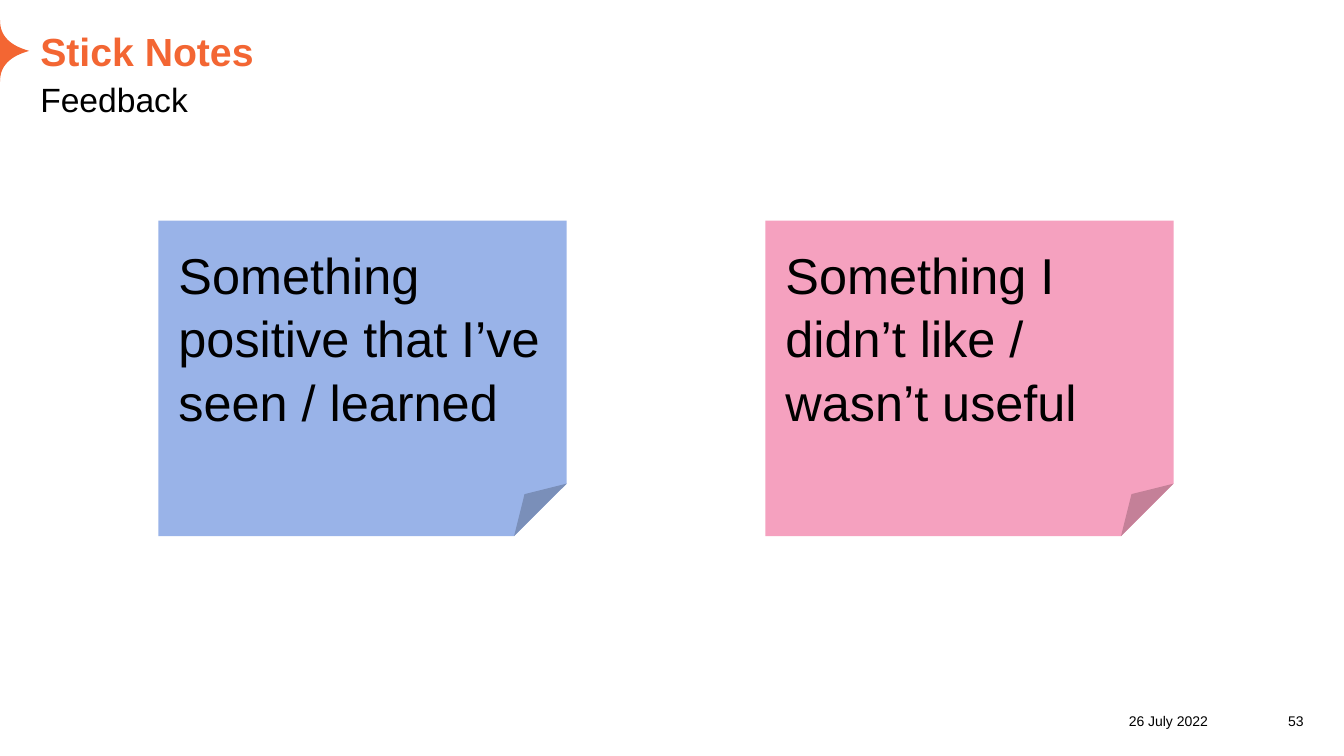
from dataclasses import dataclass

from pptx import Presentation
from pptx.dml.color import RGBColor
from pptx.enum.shapes import MSO_SHAPE
from pptx.enum.text import MSO_ANCHOR, MSO_AUTO_SIZE, PP_ALIGN
from pptx.util import Pt

# Content
HEADING = "Stick Notes"
SUBHEADING = "Feedback"
NOTES = [
    ("Something positive that I’ve seen / learned", "99B3E8"),
    ("Something I didn’t like / wasn’t useful", "F5A1BF"),
]
# text, left, width
FOOTER = [("26 July 2022", 894, 304), ("53", 1234, 59)]


@dataclass(frozen=True)
class Theme:
    font: str = "Arial"
    accent: str = "F36633"
    ink: str = "000000"
    heading: int = 28
    subheading: int = 24
    note: int = 36
    footer: int = 10


THEME = Theme()

# Layout in px, 100 to the inch
PX = 9144
SLIDE_W, SLIDE_H = 1333, 750
MARGIN, CONTENT_W = 40, 1253
NOTE_LEFT, NOTE_TOP, NOTE_W, NOTE_H, NOTE_PITCH = 157, 219, 405, 313, 602
NOTE_INSET = 20
STAR_TOP, STAR_MIDDLE, STAR_TIP = 20, 50.5, 29
CURVE_STEPS = 16


def box(*lengths):
    return [round(length * PX) for length in lengths]


def place(shape, bounds):
    shape.left, shape.top, shape.width, shape.height = box(*bounds)


def write(shape, text, size, color=THEME.ink, bold=False, inset=0,
          anchor=MSO_ANCHOR.TOP, paragraph_format=None):
    frame = shape.text_frame
    margins = {f"margin_{side}": inset * PX for side in ("left", "top", "right", "bottom")}
    frame_format = {"word_wrap": True, "auto_size": MSO_AUTO_SIZE.NONE,
                    "vertical_anchor": anchor, **margins}
    for name, value in frame_format.items():
        setattr(frame, name, value)
    paragraph = frame.paragraphs[0]
    paragraph.text = text
    for name, value in {"alignment": PP_ALIGN.LEFT, **(paragraph_format or {})}.items():
        setattr(paragraph, name, value)
    font = paragraph.runs[0].font
    for name, value in {"name": THEME.font, "size": Pt(size), "bold": bold}.items():
        setattr(font, name, value)
    font.color.rgb = RGBColor.from_string(color)


def paint(shape, color):
    shape.shadow.inherit = False
    shape.fill.solid()
    shape.fill.fore_color.rgb = RGBColor.from_string(color)
    shape.line.fill.background()


def half_star_points():
    """Sample the curve from the top to the tip, then mirror it downwards."""
    reach = STAR_MIDDLE - STAR_TOP
    upper = []
    for step in range(CURVE_STEPS + 1):
        t = step / CURVE_STEPS
        s = 1 - t
        x = (3 * s * t * t * 0.35 + t ** 3) * STAR_TIP
        y = STAR_TOP + (3 * s * s * t * 0.52 + 3 * s * t * t * 0.83 + t ** 3) * reach
        upper.append((x, y))
    return upper + [(x, 2 * STAR_MIDDLE - y) for x, y in reversed(upper[:-1])]


def add_half_star(slide):
    start, *outline = half_star_points()
    builder = slide.shapes.build_freeform(*box(*start))
    builder.add_line_segments([box(*point) for point in outline], close=True)
    paint(builder.convert_to_shape(), THEME.accent)


def main():
    deck = Presentation()
    deck.slide_width, deck.slide_height = box(SLIDE_W, SLIDE_H)
    slide = deck.slides.add_slide(deck.slide_layouts[5])
    add_half_star(slide)

    # Heading and subheading
    heading = slide.shapes.title
    place(heading, (MARGIN, 27, CONTENT_W, 47))
    write(heading, HEADING, THEME.heading, THEME.accent, bold=True, anchor=MSO_ANCHOR.BOTTOM)
    subheading = slide.shapes.add_textbox(*box(MARGIN, 76, CONTENT_W, 39))
    write(subheading, SUBHEADING, THEME.subheading, paragraph_format={"line_spacing": 1.05})

    # Sticky notes
    for index, (message, color) in enumerate(NOTES):
        left = NOTE_LEFT + index * NOTE_PITCH
        note = slide.shapes.add_shape(MSO_SHAPE.FOLDED_CORNER,
                                      *box(left, NOTE_TOP, NOTE_W, NOTE_H))
        paint(note, color)
        write(note, message, THEME.note, inset=NOTE_INSET,
              paragraph_format={"line_spacing": 1.05, "space_after": Pt(3)})

    # Date and page number
    for text, left, width in FOOTER:
        footer = slide.shapes.add_textbox(*box(left, 694, width, 30))
        write(footer, text, THEME.footer, anchor=MSO_ANCHOR.BOTTOM,
              paragraph_format={"alignment": PP_ALIGN.RIGHT})

    deck.save("out.pptx")


if __name__ == "__main__":
    main()
